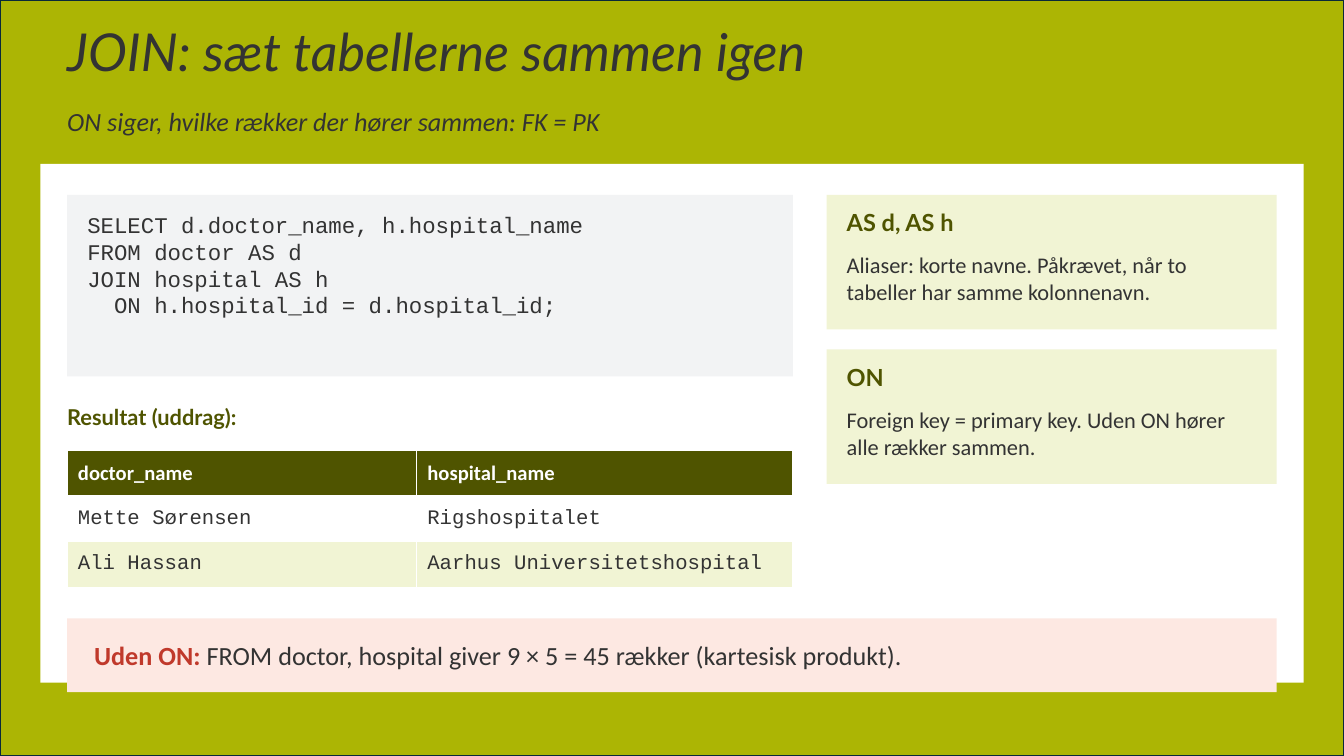
from dataclasses import dataclass

from pptx import Presentation
from pptx.dml.color import RGBColor
from pptx.enum.shapes import MSO_SHAPE
from pptx.enum.text import MSO_ANCHOR, MSO_AUTO_SIZE, PP_ALIGN
from pptx.shapes.autoshape import Shape
from pptx.slide import Slide
from pptx.text.text import TextFrame
from pptx.util import Pt


@dataclass(frozen=True)
class Theme:
    lime: str = "ACB504"
    pale_lime: str = "F1F4D4"
    olive: str = "4F5400"
    navy: str = "092A39"
    ink: str = "333333"
    white: str = "FFFFFF"
    code_grey: str = "F2F3F4"
    blush: str = "FDE8E2"
    red: str = "C0392B"
    heading_font: str = "Lato"
    body_font: str = "Calibri"
    code_font: str = "Courier New"
    title_size: float = 37.3
    lead_size: float = 18.7
    card_title_size: float = 16.8
    body_size: float = 16
    label_size: float = 15.6
    table_size: float = 14.7


THEME = Theme()


@dataclass(frozen=True)
class Box:
    x: float
    y: float
    w: float
    h: float


@dataclass(frozen=True)
class Style:
    size: float
    font: str = THEME.body_font
    color: str = THEME.ink
    bold: bool = False
    italic: bool = False


@dataclass(frozen=True)
class Span:
    text: str
    style: Style


@dataclass(frozen=True)
class Card:
    title: str
    body: str


TITLE = Style(THEME.title_size, THEME.heading_font, italic=True)
SUBTITLE = Style(THEME.lead_size, italic=True)
CODE = Style(THEME.body_size, THEME.code_font)
CARD_TITLE = Style(THEME.card_title_size, THEME.heading_font, THEME.olive, bold=True)
BODY = Style(THEME.body_size)
LABEL = Style(THEME.label_size, THEME.heading_font, THEME.olive, bold=True)
TABLE_HEAD = Style(THEME.table_size, color=THEME.white, bold=True)
TABLE_CELL = Style(THEME.table_size, THEME.code_font)
WARNING = Style(THEME.lead_size, color=THEME.red, bold=True)
LEAD = Style(THEME.lead_size)

LEFT, WIDTH = 48, 864
COLUMN_WIDTH = 518.4

QUERY = (
    "SELECT d.doctor_name, h.hospital_name",
    "FROM doctor AS d",
    "JOIN hospital AS h",
    "  ON h.hospital_id = d.hospital_id;",
)
CARDS = (
    Card("AS d, AS h", "Aliaser: korte navne. Påkrævet, når to tabeller har samme kolonnenavn."),
    Card("ON", "Foreign key = primary key. Uden ON hører alle rækker sammen."),
)
RESULT = (
    ("doctor_name", "hospital_name"),
    ("Mette Sørensen", "Rigshospitalet"),
    ("Ali Hassan", "Aarhus Universitetshospital"),
)


def rgb(color: str) -> RGBColor:
    return RGBColor.from_string(color)


def write(tf: TextFrame, lines: list[list[Span]]) -> None:
    for i, spans in enumerate(lines):
        p = tf.paragraphs[0] if i == 0 else tf.add_paragraph()
        p.alignment = PP_ALIGN.LEFT
        for span in spans:
            r = p.add_run()
            r.text = span.text
            font = r.font
            font.name, font.size = span.style.font, Pt(span.style.size)
            font.bold, font.italic = span.style.bold, span.style.italic
            font.color.rgb = rgb(span.style.color)


def set_frame(tf: TextFrame, anchor: MSO_ANCHOR) -> None:
    tf.margin_left = tf.margin_top = tf.margin_right = tf.margin_bottom = Pt(0)
    tf.word_wrap = True
    tf.auto_size = MSO_AUTO_SIZE.NONE
    tf.vertical_anchor = anchor


def add_text(s: Slide, box: Box, lines: list[list[Span]],
             anchor: MSO_ANCHOR = MSO_ANCHOR.TOP) -> None:
    sp = s.shapes.add_textbox(Pt(box.x), Pt(box.y), Pt(box.w), Pt(box.h))
    set_frame(sp.text_frame, anchor)
    write(sp.text_frame, lines)


def add_panel(s: Slide, box: Box, fill: str) -> Shape:
    sp = s.shapes.add_shape(MSO_SHAPE.RECTANGLE, Pt(box.x), Pt(box.y), Pt(box.w), Pt(box.h))
    sp.shadow.inherit = False
    sp.fill.solid()
    sp.fill.fore_color.rgb = rgb(fill)
    sp.line.fill.background()
    return sp


def add_title(s: Slide, box: Box, text: str) -> None:
    sp = s.shapes.title
    sp.left, sp.top, sp.width, sp.height = Pt(box.x), Pt(box.y), Pt(box.w), Pt(box.h)
    set_frame(sp.text_frame, MSO_ANCHOR.TOP)
    write(sp.text_frame, [[Span(text, TITLE)]])
    sp.text_frame.paragraphs[0].line_spacing = 0.9


def add_backdrop(s: Slide, box: Box) -> None:
    sp = add_panel(s, box, THEME.lime)
    sp.line.color.rgb = rgb(THEME.navy)
    sp.line.width = Pt(1.5)
    s.shapes.title.element.addprevious(sp.element)


def add_card(s: Slide, x: float, y: float, card: Card) -> None:
    add_panel(s, Box(x, y, 321.6, 96), THEME.pale_lime)
    add_text(s, Box(x + 14.4, y + 9.6, 292.8, 28.8), [[Span(card.title, CARD_TITLE)]])
    add_text(s, Box(x + 14.4, y + 40.3, 292.8, 49.7), [[Span(card.body, BODY)]])


def add_result(s: Slide, box: Box) -> None:
    table = s.shapes.add_table(len(RESULT), len(RESULT[0]), Pt(box.x), Pt(box.y),
                               Pt(box.w), Pt(box.h)).table
    for column, width in zip(table.columns, (249.6, box.w - 249.6)):
        column.width = Pt(width)
    fills = (THEME.olive, THEME.white, THEME.pale_lime)
    for i, (row, fill) in enumerate(zip(RESULT, fills)):
        for j, text in enumerate(row):
            cell = table.cell(i, j)
            cell.fill.solid()
            cell.fill.fore_color.rgb = rgb(fill)
            cell.vertical_anchor = MSO_ANCHOR.MIDDLE
            cell.margin_left = cell.margin_right = Pt(7.7)
            cell.margin_top = cell.margin_bottom = Pt(2.9)
            write(cell.text_frame, [[Span(text, TABLE_CELL if i else TABLE_HEAD)]])


def main() -> None:
    prs = Presentation()
    prs.slide_width, prs.slide_height = Pt(960), Pt(540)
    s = prs.slides.add_slide(prs.slide_layouts[5])
    add_backdrop(s, Box(0, 0, 960, 540))
    add_title(s, Box(LEFT, 19.2, WIDTH, 52.8), "JOIN: sæt tabellerne sammen igen")
    add_panel(s, Box(28.8, 117.1, 902.4, 370.6), THEME.white)
    add_text(s, Box(LEFT, 75, WIDTH, 33.6),
             [[Span("ON siger, hvilke rækker der hører sammen: FK = PK", SUBTITLE)]])

    add_panel(s, Box(LEFT, 139.2, COLUMN_WIDTH, 129.6), THEME.code_grey)
    add_text(s, Box(62.4, 150.7, 489.6, 110.4), [[Span(line, CODE)] for line in QUERY])
    for i, card in enumerate(CARDS):
        add_card(s, 590.4, 139.2 + 110.4 * i, card)

    add_text(s, Box(LEFT, 288, COLUMN_WIDTH, 33.6), [[Span("Resultat (uddrag):", LABEL)]])
    add_result(s, Box(LEFT, 321.6, COLUMN_WIDTH, 97.8))

    add_panel(s, Box(LEFT, 441.6, WIDTH, 52.8), THEME.blush)
    add_text(s, Box(67.2, 441.6, 825.6, 52.8), [[
        Span("Uden ON: ", WARNING),
        Span("FROM doctor, hospital giver 9 × 5 = 45 rækker (kartesisk produkt).", LEAD),
    ]], MSO_ANCHOR.MIDDLE)
    prs.save("out.pptx")


if __name__ == "__main__":
    main()
